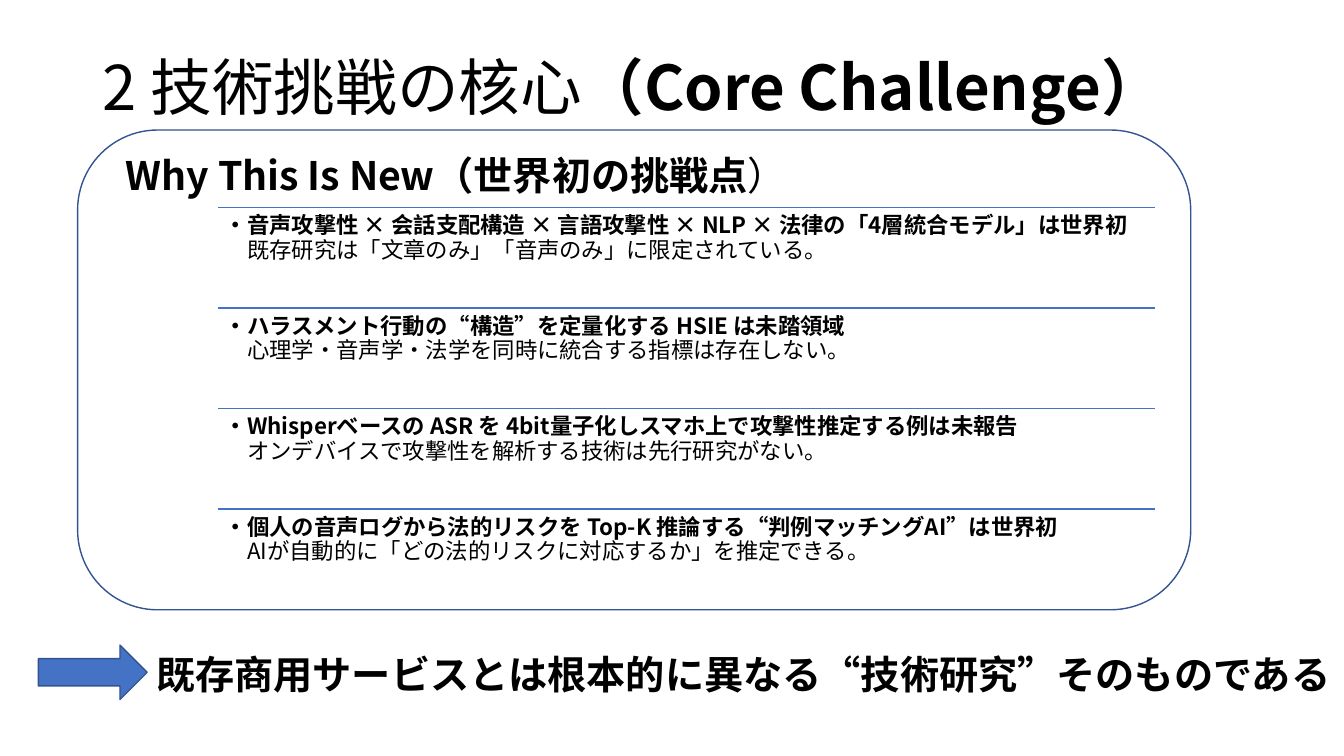
from dataclasses import dataclass
from itertools import groupby

from lxml.etree import SubElement
from pptx import Presentation
from pptx.dml.color import RGBColor
from pptx.enum.shapes import MSO_CONNECTOR, MSO_SHAPE
from pptx.oxml.ns import qn
from pptx.util import Inches, Pt


@dataclass(frozen=True)
class Theme:
    font: str = "Noto Sans CJK JP"
    text: RGBColor = RGBColor(0x00, 0x00, 0x00)
    accent: RGBColor = RGBColor(0x44, 0x72, 0xC4)
    outline: RGBColor = RGBColor(0x32, 0x54, 0x91)
    title: int = 44
    heading: int = 28
    body: int = 16
    line: int = 1
    quote_tightening: int = -45  # percent of the type size


theme = Theme()


def add_text(left, top, width, height, paragraphs, size, inset=None, spacing=None):
    """Each paragraph is a list of (text, bold) runs."""
    box = s.shapes.add_textbox(Inches(left), Inches(top), Inches(width), Inches(height))
    tf = box.text_frame
    tf.word_wrap = True
    if inset is not None:
        tf.margin_left = tf.margin_right = tf.margin_top = tf.margin_bottom = Inches(inset)
    for i, runs in enumerate(paragraphs):
        p = tf.paragraphs[0] if i == 0 else tf.add_paragraph()
        p.line_spacing = spacing
        p.font.size = Pt(size)
        p.font.name = theme.font
        p.font.color.rgb = theme.text
        SubElement(p.font._element, qn("a:ea"), typeface=theme.font)
        for text, bold in runs:
            # Take out the blank half of full-width quotation marks
            pairs = zip(text, text[1:] + " ")
            for tight, group in groupby(pairs, lambda c: c[0] == "”" or c[1] == "“"):
                r = p.add_run()
                r.text = "".join(char for char, following in group)
                r.font.bold = bold
                if tight:
                    r.font._element.set("spc", str(theme.quote_tightening * size))
    return tf


def add_outlined(kind, left, top, width, height):
    sp = s.shapes.add_shape(kind, Inches(left), Inches(top), Inches(width), Inches(height))
    sp.shadow.inherit = False
    sp.line.color.rgb = theme.outline
    sp.line.width = Pt(theme.line)
    return sp


prs = Presentation()
prs.slide_width, prs.slide_height = Inches(13.33), Inches(7.5)
s = prs.slides.add_slide(prs.slide_layouts[6])

# Frame and title
frame = add_outlined(MSO_SHAPE.ROUNDED_RECTANGLE, 0.77, 1.29, 11.04, 4.76)
frame.fill.background()
add_text(0.92, 0.52, 11.5, 1.33,
         [[("2 技術挑戦の核心", False), ("（Core Challenge）", True)]],
         theme.title, spacing=0.9)

# Challenges, each under a rule
challenges = [
    ("・音声攻撃性 × 会話支配構造 × 言語攻撃性 × NLP × 法律の「4層統合モデル」は世界初",
     "既存研究は「文章のみ」「音声のみ」に限定されている。"),
    ("・ハラスメント行動の“構造”を定量化する HSIE は未踏領域",
     "心理学・音声学・法学を同時に統合する指標は存在しない。"),
    ("・Whisperベースの ASR を 4bit量子化しスマホ上で攻撃性推定する例は未報告",
     "オンデバイスで攻撃性を解析する技術は先行研究がない。"),
    ("・個人の音声ログから法的リスクを Top-K 推論する“判例マッチングAI”は世界初",
     "AIが自動的に「どの法的リスクに対応するか」を推定できる。"),
]
left, width = 2.16, 9.3
first_top, last_top = 2.06, 5.05
row_height = (last_top - first_top) / (len(challenges) - 1)
for i, (claim, detail) in enumerate(challenges):
    top = first_top + i * row_height
    rule = s.shapes.add_connector(MSO_CONNECTOR.STRAIGHT, Inches(left), Inches(top),
                                  Inches(left + width), Inches(top))
    rule.line.color.rgb = theme.accent
    rule.line.width = Pt(theme.line)
    SubElement(rule._element.spPr, qn("a:effectLst"))
    tf = add_text(left, top, width, row_height, [[(claim, True)], [(detail, False)]],
                  theme.body, inset=0.07, spacing=0.9)
    tf.margin_right = Inches(0.04)
    # Detail line is indented by one character
    pPr = tf.paragraphs[1]._p.get_or_add_pPr()
    pPr.set("marL", str(Pt(theme.body)))
    pPr.set("indent", "0")

# Heading inside the frame
add_text(1.15, 1.45, 7.83, 0.57,
         [[("Why This Is New（世界初の挑戦点", True), ("）", False)]], theme.heading)

# Conclusion, on one line up to the slide edge
arrow = add_outlined(MSO_SHAPE.RIGHT_ARROW, 0.38, 6.4, 1.08, 0.54)
arrow.fill.solid()
arrow.fill.fore_color.rgb = theme.accent
tf = add_text(1.45, 6.4, 11.88, 0.57,
              [[("既存商用サービスとは根本的に異なる“技術研究”そのものである", True)]],
              theme.heading)
tf.margin_right = 0

prs.save("out.pptx")
